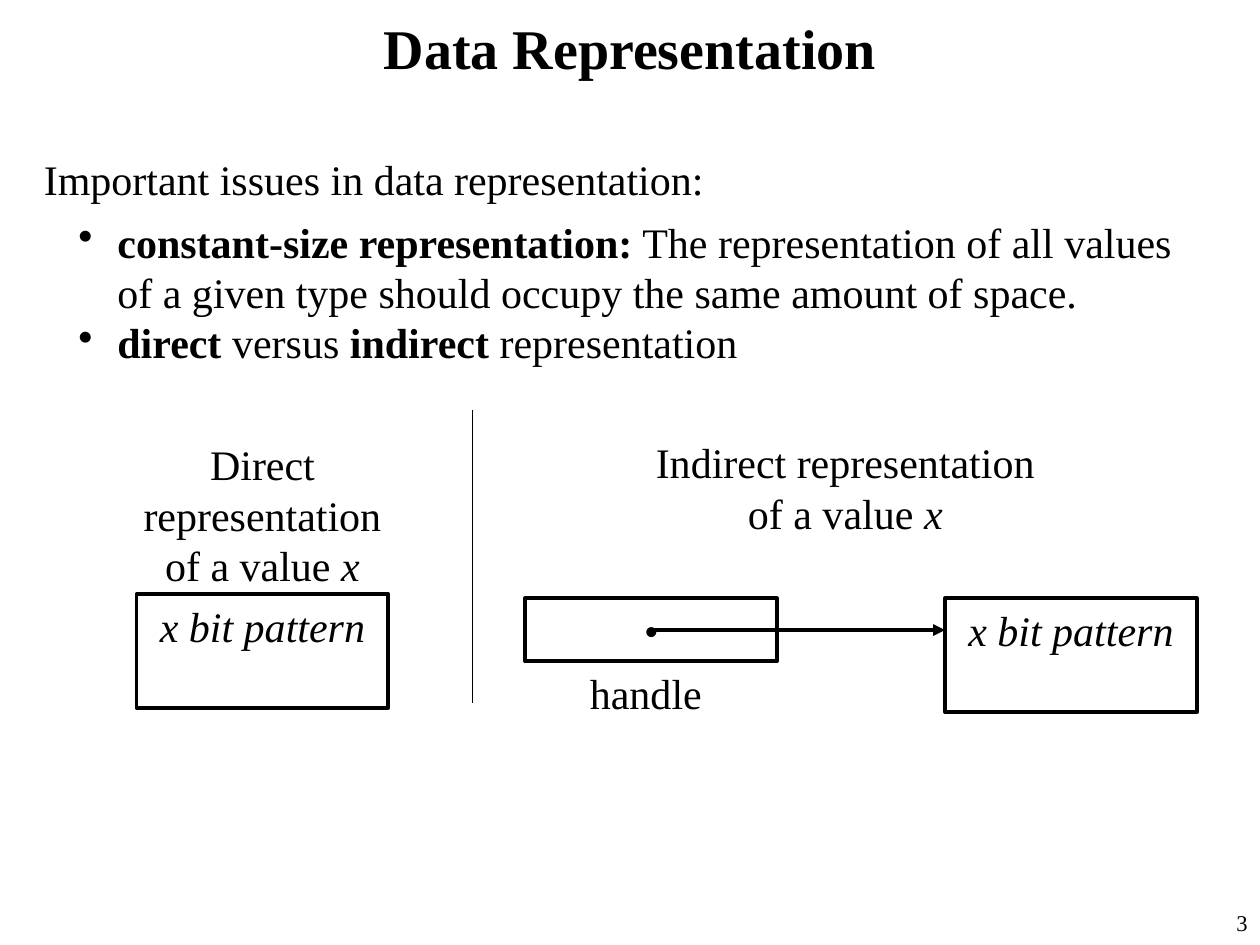
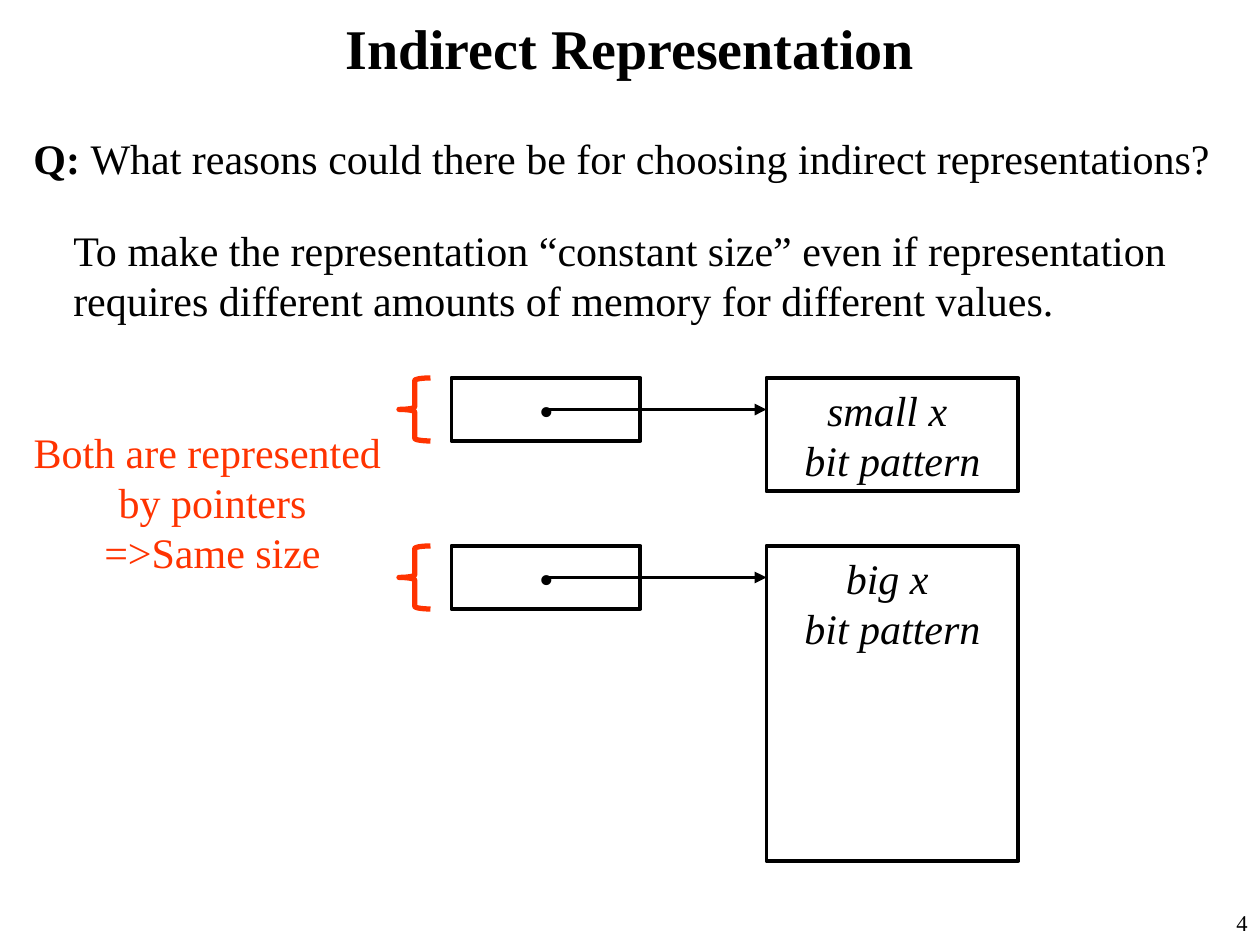
from lxml import etree
from pptx import Presentation, util as u
from pptx.dml.color import RGBColor
from pptx.enum import shapes, text
from pptx.oxml.ns import qn

INK = {"black": "000000", "red": "FF3300"}
FACE = "Times New Roman"
LEFT, MID, RIGHT = text.PP_ALIGN.LEFT, text.PP_ALIGN.CENTER, text.PP_ALIGN.RIGHT

deck = Presentation()
deck.slide_width, deck.slide_height = u.Inches(10), u.Inches(7.5)
CELL = deck.slide_width / 120  # grid of 120 columns by 90 rows


def write(shape, lines, align=LEFT, ink="black", size=24, wrap=True, bullet=False):
    """Fill a shape with lines; each line is a list of (words, style) runs."""
    frame = shape.text_frame
    frame.word_wrap = wrap
    frame.auto_size = text.MSO_AUTO_SIZE.NONE
    for n, line in enumerate(lines):
        para = frame.add_paragraph() if n else frame.paragraphs[0]
        para.alignment = align
        para.font.name, para.font.size = FACE, u.Pt(size)
        for words, style in line:
            run = para.add_run()
            run.text = words
            run.font.color.rgb = RGBColor.from_string(INK[ink])
            run.font.bold, run.font.italic = style == "b", style == "i"
        if bullet:
            props = para._p.get_or_add_pPr()
            props.set("marL", str(u.Inches(0.5)))
            props.set("indent", str(u.Inches(-0.31)))
            mark = etree.Element(qn("a:buChar"), char="•")
            props.insert(0, mark)


def draw(slide, kind, col, row, wide, high, ink="black", width=2.25):
    """Place a text box, line, arrow or outlined shape on the grid."""
    box = [round(n * CELL) for n in (col, row, wide, high)]
    if kind == "text":
        return slide.shapes.add_textbox(*box)
    if kind in ("line", "arrow"):
        x, y, w, h = box
        item = slide.shapes.add_connector(
            shapes.MSO_CONNECTOR.STRAIGHT, x, y, x + w, y + h)
    else:
        item = slide.shapes.add_shape(kind, *box)
        item.shadow.inherit = False
        item.fill.background()
    item.line.color.rgb = RGBColor.from_string(INK[ink])
    item.line.width = u.Pt(width)
    if kind in ("line", "arrow"):
        if kind == "arrow":
            etree.SubElement(item.line._get_or_add_ln(), qn("a:tailEnd"), type="triangle")
        etree.SubElement(item._element.spPr, qn("a:effectLst"))
    else:
        item.text_frame.vertical_anchor = text.MSO_ANCHOR.TOP
    return item


RECT, BRACE = shapes.MSO_SHAPE.RECTANGLE, shapes.MSO_SHAPE.LEFT_BRACE

# Titles and page numbers
pages = []
for num, name in enumerate(["Data Representation", "Indirect Representation"], 3):
    page = deck.slides.add_slide(deck.slide_layouts[5])
    title = page.shapes.title
    title.left = title.top = 0
    title.width, title.height = deck.slide_width, round(9 * CELL)
    title.text_frame.vertical_anchor = text.MSO_ANCHOR.MIDDLE
    write(title, [[(name, "b")]], MID, size=32)
    write(draw(page, "text", 111, 86, 9, 4), [[(str(num), "")]], RIGHT, size=12.9)
    pages.append(page)
data, ways = pages

# Issues in data representation
write(draw(data, "text", 3, 14, 65, 6),
      [[("Important issues in data representation:", "")]], wrap=False)
write(draw(data, "text", 4, 20, 110, 15.6), [
    [("constant-size representation:", "b"),
     (" The representation of all values of a given type should occupy "
      "the same amount of space.", "")],
    [("direct", "b"), (" versus ", ""), ("indirect ", "b"), ("representation", "")],
], bullet=True)

# Direct and indirect sides
for kind, col, row, wide in [("Direct", 7, 41.2, 36), ("Indirect", 52, 41, 57)]:
    write(draw(data, "text", col, row, wide, 10.8),
          [[(kind + " representation", "")], [("of a value ", ""), ("x", "i")]], MID)
for col, row in [(13, 56.6), (90, 57)]:
    write(draw(data, RECT, col, row, 24, 10.8), [[("x bit pattern", "i")]], MID)
write(draw(data, "text", 55, 63, 13, 6), [[("handle", "")]], wrap=False)
draw(data, "line", 45, 39, 0, 28, width=0.75)

# Question and answer
write(draw(ways, "text", 2, 12, 114.4, 6), [
    [("Q: ", "b"),
     ("What reasons could there be for choosing indirect representations?", "")],
], wrap=False)
write(draw(ways, "text", 5.8, 20.8, 108.2, 10.8), [
    [("To make the representation “constant size” even if representation "
      "requires different amounts of memory for different values.", "")]])

# Small and big values, each with a brace by its handle
for size, row, high in [("small", 36, 10.8), ("big", 52, 30)]:
    write(draw(ways, RECT, 73, row, 24, high),
          [[(size + " x ", "i")], [("bit pattern", "i")]], MID)
    draw(ways, BRACE, 38, row, 3, 6, "red", 3)
write(draw(ways, "text", 2, 40, 36.5, 15.6),
      [[(line, "")] for line in ("Both are represented ", "by pointers", "=>Same size")],
      MID, "red", wrap=False)

# Handles pointing at their values
for page, col, row, wide, goal in [
        (data, 50, 57, 24, 90), (ways, 43, 36, 18, 73), (ways, 43, 52, 18, 73)]:
    write(draw(page, RECT, col, row, wide, 6), [[("•", "i")]], MID)
    start = col + wide / 2
    draw(page, "arrow", start, row + 3, goal - start, 0)

deck.save("out.pptx")
